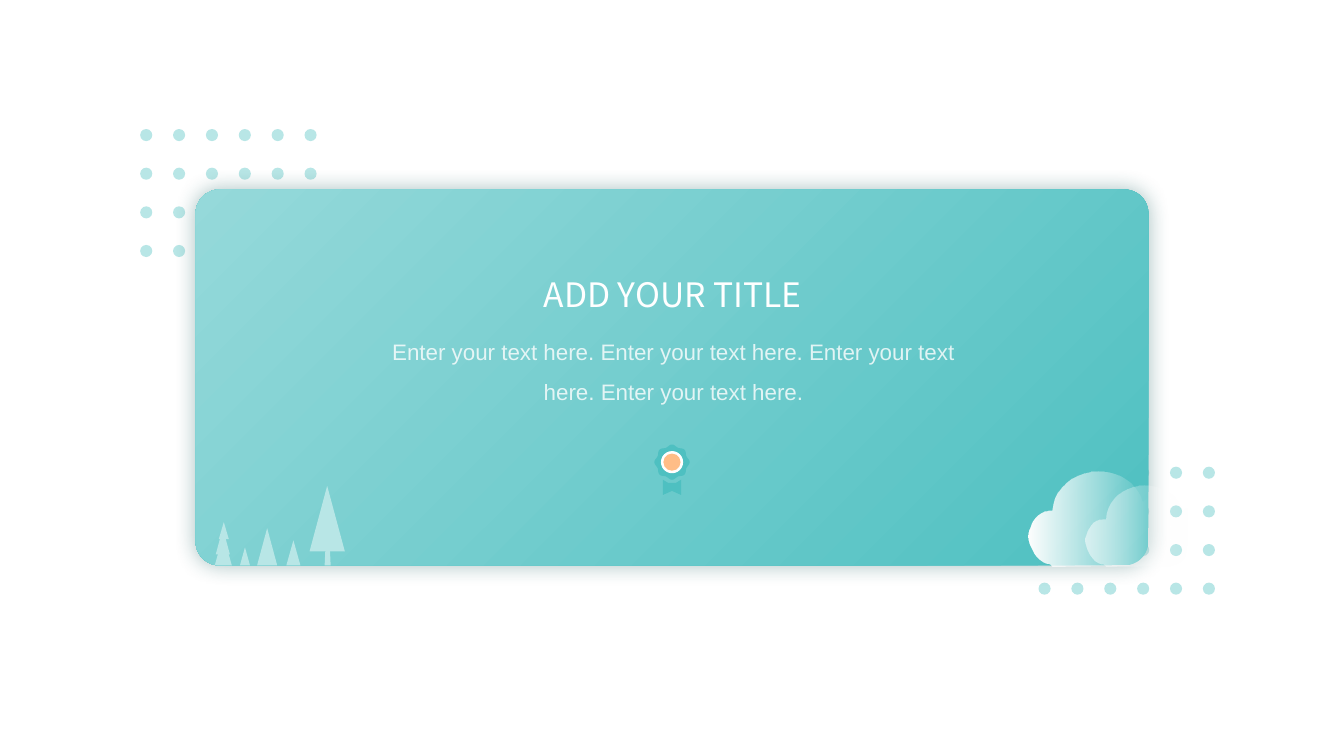
import math

from lxml import etree
from pptx import Presentation
from pptx.dml.color import RGBColor
from pptx.enum.shapes import MSO_SHAPE
from pptx.enum.text import MSO_ANCHOR, MSO_AUTO_SIZE, PP_ALIGN
from pptx.oxml.ns import qn
from pptx.util import Inches, Pt

OVAL = MSO_SHAPE.OVAL
TRIANGLE = MSO_SHAPE.ISOSCELES_TRIANGLE
ROUNDED = MSO_SHAPE.ROUNDED_RECTANGLE
CENTER = PP_ALIGN.CENTER
TOP = MSO_ANCHOR.TOP
NO_FIT = MSO_AUTO_SIZE.NONE

COLORS = {
    "white": "FFFFFF",
    "pale": "B8E6E6",
    "light": "95D9DA",
    "teal": "4EC0C1",
    "shadow": "236464",
    "orange": "FFBD87",
}

# Cloud outline in inches: two-number steps are lines, six-number steps are curves.
CLOUD_SIZE = (1.2, 0.94)
CLOUD_START = (0.69, 0)
CLOUD_STEPS = [
    (0.45, 0, 0.25, 0.17, 0.24, 0.39),
    (0.2, 0.39),
    (0.07, 0.39, 0, 0.56, 0, 0.64),
    (0, 0.73, 0.09, 0.9, 0.21, 0.91),
    (0.23, 0.92, 0.22, 0.91, 0.24, 0.94),
    (0.99, 0.93),
    (1.24, 0.87, 1.19, 0.72, 1.19, 0.25),
    (1.16, 0.27, 1.2, 0.24, 1.13, 0.3),
    (1.08, 0.12, 0.9, 0, 0.69, 0),
]


def rgb(name):
    return RGBColor.from_string(COLORS[name])


def set_alpha(color, percent):
    etree.SubElement(color, qn("a:alpha")).set("val", str(percent * 1000))


def finish(shape, color=None):
    """Remove the line and shadow, and fill with one colour if given."""
    shape.shadow.inherit = False
    shape.line.fill.background()
    if color:
        shape.fill.solid()
        shape.fill.fore_color.rgb = rgb(color)
    return shape


def fill_gradient(shape, start, end):
    shape.fill.gradient()
    shape.fill.gradient_angle = 0
    for stop, color in zip(shape.fill.gradient_stops, (start, end)):
        stop.color.rgb = rgb(color)
    return shape.element.spPr.find(qn("a:gradFill"))


def add_preset(shapes, kind, box, color=None):
    return finish(shapes.add_shape(kind, *map(Inches, box)), color)


def add_outline(shapes, points, color=None):
    corners = [(Inches(x), Inches(y)) for x, y in points]
    builder = shapes.build_freeform(*corners[0], scale=1.0)
    builder.add_line_segments(corners[1:], close=True)
    return finish(builder.convert_to_shape(), color)


def add_dots(page, box, columns=6, rows=4, size=0.12):
    left, top, width, height = box
    dots = page.shapes.add_group_shape().shapes
    across = (width - size) / (columns - 1)
    down = (height - size) / (rows - 1)
    for column in range(columns):
        for row in range(rows):
            dot = (left + column * across, top + row * down, size, size)
            add_preset(dots, OVAL, dot, "pale")


def add_panel(page, box):
    panel = add_preset(page.shapes, ROUNDED, box)
    panel.adjustments[0] = 0.064
    gradient = fill_gradient(panel, "light", "teal")
    gradient.remove(gradient.find(qn("a:lin")))
    radial = etree.SubElement(gradient, qn("a:path"), path="circle")
    etree.SubElement(radial, qn("a:fillToRect"), r="100000", b="100000")
    effects = panel.element.spPr.find(qn("a:effectLst"))
    shadow = etree.SubElement(effects, qn("a:outerShdw"),
                              blurRad=str(Pt(15)), dist="0", dir="0")
    set_alpha(etree.SubElement(shadow, qn("a:srgbClr"), val=COLORS["shadow"]), 40)


def add_trees(page, box):
    """Place triangles, each given by its left, rise of its base, width and height."""
    left, top, width, height = box
    trees = page.shapes.add_group_shape().shapes
    triangles = [
        (1.09, 0, 0.06, 0.64), (0.94, 0.14, 0.35, 0.65),
        (0.71, 0, 0.14, 0.25), (0.42, 0, 0.2, 0.37), (0.25, 0, 0.1, 0.18),
        (0, 0, 0.17, 0.3), (0.01, 0.11, 0.14, 0.26), (0.04, 0.26, 0.1, 0.17),
    ]
    for offset, rise, wide, tall in triangles:
        base = top + height - rise
        add_preset(trees, TRIANGLE, (left + offset, base - tall, wide, tall), "pale")


def trace_curves(start, steps, parts=10):
    """Turn lines and cubic curves into a list of points."""
    points = [start]
    for step in steps:
        if len(step) == 2:
            points.append(step)
            continue
        controls = [points[-1], step[:2], step[2:4], step[4:]]
        for part in range(1, parts + 1):
            t = part / parts
            weights = ((1 - t) ** 3, 3 * t * (1 - t) ** 2, 3 * t * t * (1 - t), t ** 3)
            points.append(tuple(sum(weight * control[axis]
                                    for weight, control in zip(weights, controls))
                                for axis in (0, 1)))
    return points


def add_cloud(page, box, opacity):
    left, top, width, height = box
    points = [(left + x * width / CLOUD_SIZE[0], top + y * height / CLOUD_SIZE[1])
              for x, y in trace_curves(CLOUD_START, CLOUD_STEPS)]
    gradient = fill_gradient(add_outline(page.shapes, points), "white", "white")
    for color, percent in zip(gradient.iter(qn("a:srgbClr")), (opacity, 0)):
        set_alpha(color, percent)


def add_badge(page, box):
    left, top, width, height = box
    badge = page.shapes.add_group_shape().shapes
    middle_x, middle_y = left + width / 2, top + width / 2
    rosette = []
    for degree in range(0, 360, 5):
        angle = math.radians(degree)
        radius = width / 2 * (0.94 + 0.06 * math.cos(8 * angle))
        rosette.append((middle_x + radius * math.cos(angle),
                        middle_y + radius * math.sin(angle)))
    add_outline(badge, rosette, "teal")
    for size, color in ((0.22, "white"), (0.17, "orange")):
        add_preset(badge, OVAL, (middle_x - size / 2, middle_y - size / 2, size, size), color)
    bottom = top + height
    ribbon = [(-0.09, -0.15), (-0.04, -0.12), (0.04, -0.12), (0.09, -0.15),
              (0.09, 0), (0, -0.04), (-0.09, 0)]
    add_outline(badge, [(middle_x + x, bottom + y) for x, y in ribbon], "teal")


def write_text(holder, box, text, size, font, spacing=1.0):
    """Fill a placeholder and bring it in front of the panel."""
    holder.left, holder.top, holder.width, holder.height = map(Inches, box)
    frame = holder.text_frame
    frame.text = text
    frame.auto_size = NO_FIT
    frame.vertical_anchor = TOP
    para = frame.paragraphs[0]
    settings = para._p.get_or_add_pPr()
    settings.set("marL", "0")
    settings.set("indent", "0")
    etree.SubElement(settings, qn("a:buNone"))
    para.alignment = CENTER
    para.line_spacing = spacing
    para.space_before = Pt(0)
    para.font.size = Pt(size)
    para.font.name = font
    para.font.color.rgb = rgb("white")
    holder.element.getparent().append(holder.element)
    return para


def build_slide(deck):
    page = deck.slides.add_slide(deck.slide_layouts[1])
    title, body = page.placeholders
    add_dots(page, (10.3, 4.63, 1.75, 1.27))
    add_dots(page, (1.39, 1.28, 1.75, 1.27))
    add_panel(page, (1.94, 1.88, 9.45, 3.73))
    add_trees(page, (2.13, 4.82, 1.29, 0.79))
    para = write_text(body, (3.74, 3.17, 5.88, 0.86),
                      "Enter your text here. Enter your text here. "
                      "Enter your text here. Enter your text here.", 16, "Arial", 1.5)
    set_alpha(next(para._p.iter(qn("a:srgbClr"))), 80)
    write_text(title, (5.18, 2.67, 2.98, 0.5), "ADD YOUR TITLE", 24, "Noto Sans CJK TC")
    add_cloud(page, (10.2, 4.68, 1.2, 0.94), 100)
    add_cloud(page, (10.77, 4.82, 1.01, 0.8), 55)
    add_badge(page, (6.49, 4.41, 0.35, 0.5))


def main():
    deck = Presentation()
    deck.slide_width, deck.slide_height = Inches(13.33), Inches(7.5)
    build_slide(deck)
    deck.save("out.pptx")


if __name__ == "__main__":
    main()
